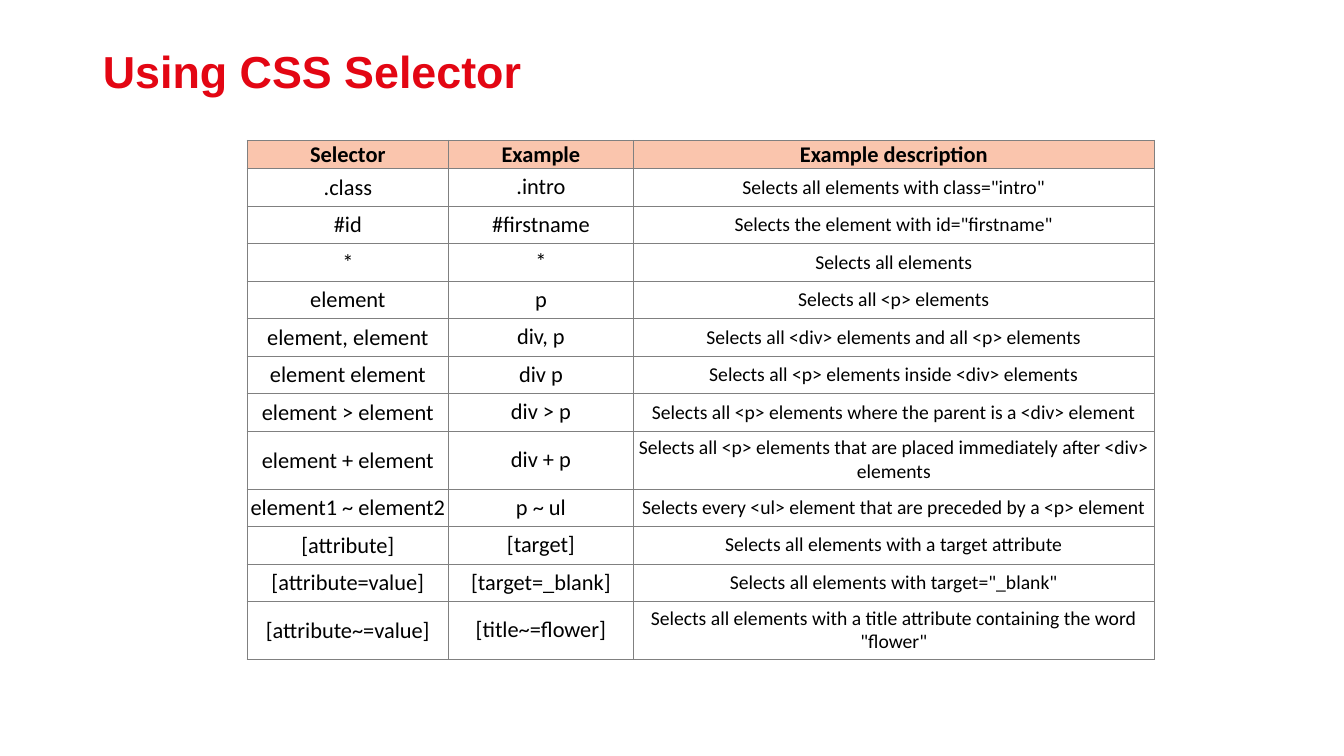
from lxml import etree
from pptx import Presentation
from pptx.dml.color import RGBColor
from pptx.enum.text import MSO_ANCHOR, PP_ALIGN
from pptx.oxml.ns import qn
from pptx.util import Inches, Pt

MIDDLE = MSO_ANCHOR.MIDDLE
LEFT, CENTER = PP_ALIGN.LEFT, PP_ALIGN.CENTER
RED = RGBColor(0xE3, 0x06, 0x13)
PEACH = RGBColor(0xFA, 0xC5, 0xAD)
BLACK = RGBColor(0, 0, 0)
GRAY = RGBColor(0x80, 0x80, 0x80)

WIDTHS = [2, 1.83, 5.17]
HEAD, LINE = 0.26, 0.33
TALL = {8: 0.55, 12: 0.48}
ROWS = [
    ("Selector", "Example", "Example description"),
    (".class", ".intro", 'Selects all elements with class="intro"'),
    ("#id", "#firstname", 'Selects the element with id="firstname"'),
    ("*", "*", "Selects all elements"),
    ("element", "p", "Selects all <p> elements"),
    ("element, element", "div, p", "Selects all <div> elements and all <p> elements"),
    ("element element", "div p", "Selects all <p> elements inside <div> elements"),
    ("element > element", "div > p",
     "Selects all <p> elements where the parent is a <div> element"),
    ("element + element", "div + p",
     "Selects all <p> elements that are placed immediately after <div> elements"),
    ("element1 ~ element2", "p ~ ul",
     "Selects every <ul> element that are preceded by a <p> element"),
    ("[attribute]", "[target]", "Selects all elements with a target attribute"),
    ("[attribute=value]", "[target=_blank]", 'Selects all elements with target="_blank"'),
    ("[attribute~=value]", "[title~=flower]",
     'Selects all elements with a title attribute containing the word "flower"'),
]


def set_font(para, name, size, color, bold):
    font = para.font
    font.name, font.size, font.bold = name, Pt(size), bold
    font.color.rgb = color


def add_title(slide, text):
    title = slide.shapes.title
    title.left, title.top = Inches(0.92), Inches(0.44)
    title.width, title.height = Inches(11.5), Inches(0.59)
    frame = title.text_frame
    frame.text = text
    frame.word_wrap = True
    frame.vertical_anchor = MIDDLE
    para = frame.paragraphs[0]
    para.alignment, para.line_spacing = LEFT, 0.9
    set_font(para, "Arial", 32, RED, True)


def add_border(cell):
    props = cell._tc.get_or_add_tcPr()
    for side in ("lnL", "lnR", "lnT", "lnB"):
        line = etree.SubElement(props, qn(f"a:{side}"), w=str(Pt(0.5)))
        fill = etree.SubElement(line, qn("a:solidFill"))
        etree.SubElement(fill, qn("a:srgbClr"), val=str(GRAY))


def fill_cell(cell, text, row, col):
    head = row == 0
    tight = head or col == 0
    cell.text = text
    cell.vertical_anchor = MIDDLE
    cell.margin_left = cell.margin_right = Inches(0.01)
    cell.margin_top = Inches(0.01 if tight else 0.05)
    cell.margin_bottom = Inches(0 if tight else 0.05)
    para = cell.text_frame.paragraphs[0]
    para.alignment = CENTER
    size = 14 if col == 2 and not head else 16
    set_font(para, "Calibri", size, BLACK, head)
    add_border(cell)
    if head:
        cell.fill.solid()
        cell.fill.fore_color.rgb = PEACH
    else:
        cell.fill.background()


def add_grid(slide, rows):
    highs = [HEAD] + [TALL.get(i, LINE) for i in range(1, len(rows))]
    frame = slide.shapes.add_table(
        len(rows), len(WIDTHS), Inches(2.45), Inches(1.39),
        Inches(sum(WIDTHS)), Inches(sum(highs)))
    table = frame.table
    table.first_row = table.horz_banding = False
    for col, width in zip(table.columns, WIDTHS):
        col.width = Inches(width)
    for row, high in zip(table.rows, highs):
        row.height = Inches(high)
    for i, texts in enumerate(rows):
        for j, text in enumerate(texts):
            fill_cell(table.cell(i, j), text, i, j)


def main():
    deck = Presentation()
    deck.slide_width, deck.slide_height = Inches(13.33), Inches(7.5)
    slide = deck.slides.add_slide(deck.slide_layouts[5])
    add_title(slide, "Using CSS Selector")
    add_grid(slide, ROWS)
    deck.save("out.pptx")


if __name__ == "__main__":
    main()
